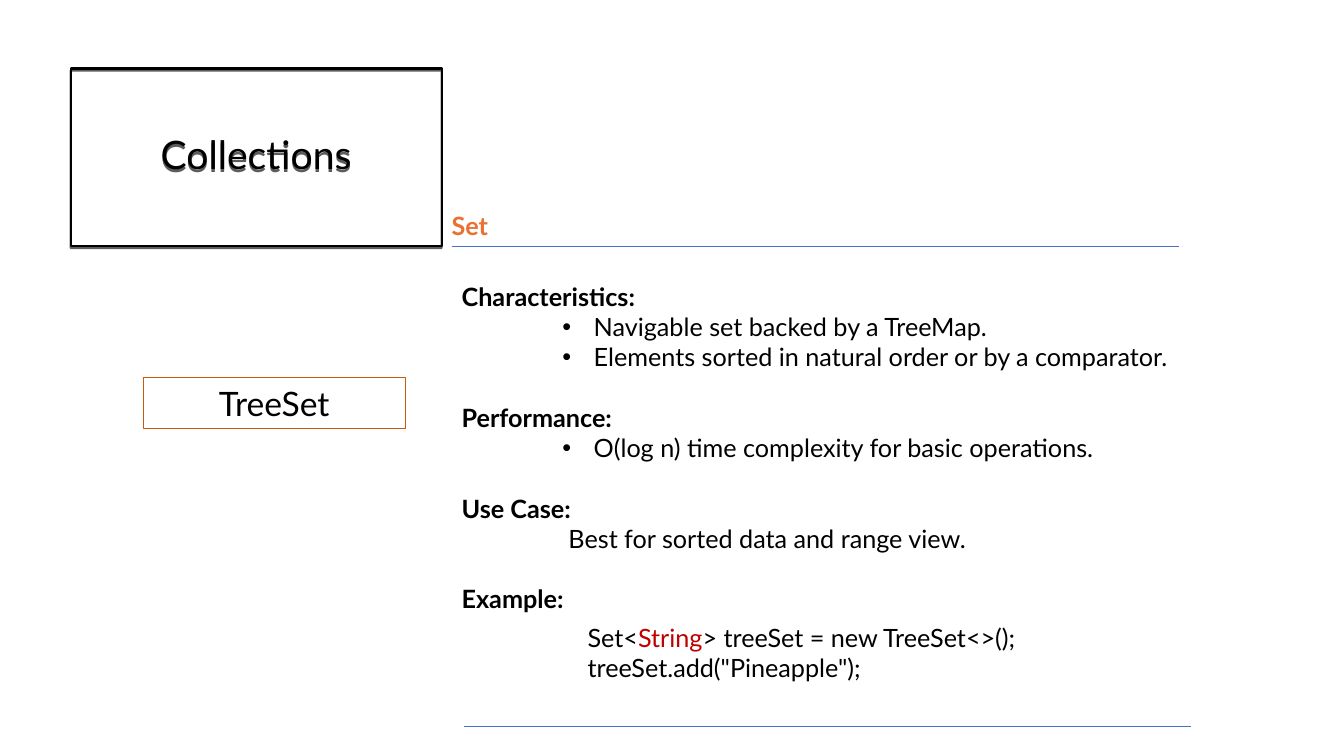
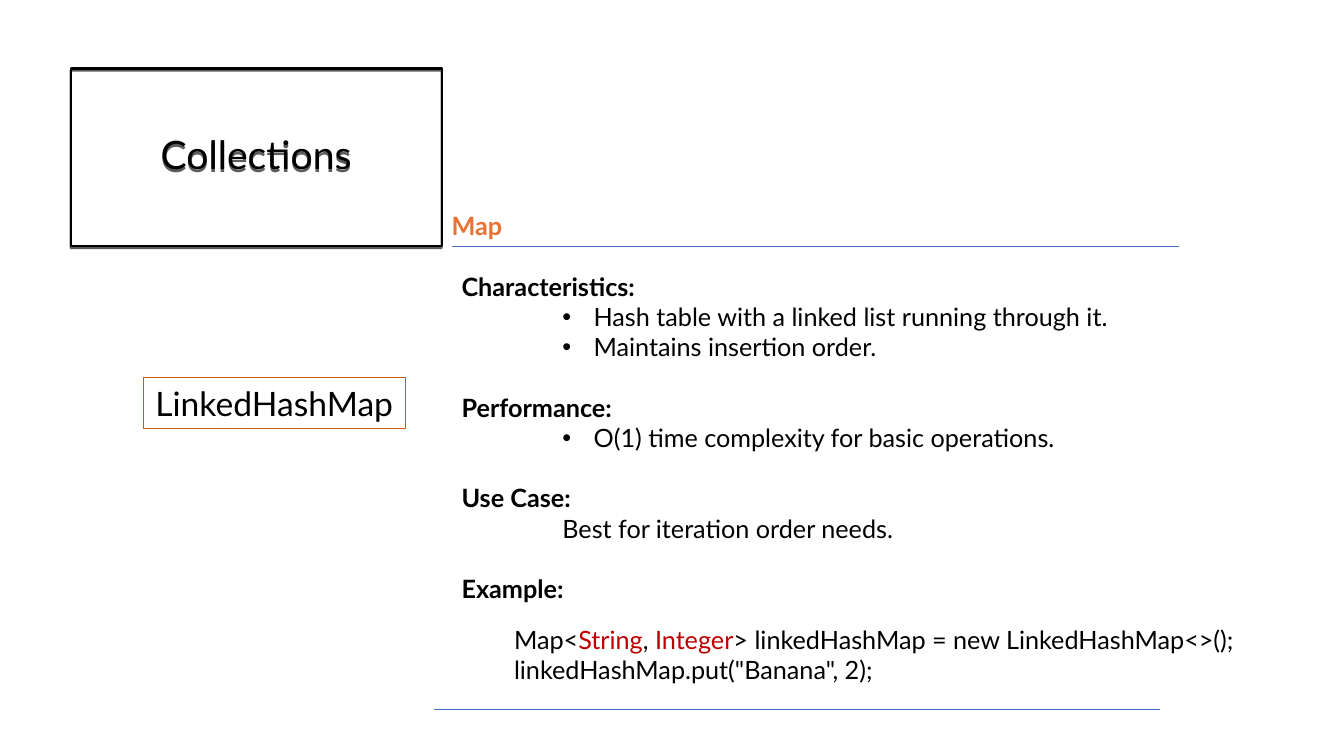
import pptx
import pptx.util
import pptx.dml.color
import pptx.enum.shapes
import pptx.enum.text
import pptx.oxml
import lxml.etree

Inches = pptx.util.Inches
Pt = pptx.util.Pt
Color = pptx.dml.color.RGBColor
BLACK = Color(0x00, 0x00, 0x00)
BLUE = Color(0x44, 0x72, 0xC4)
ORANGE = Color(0xE9, 0x71, 0x32)
RUST = Color(0xC5, 0x5A, 0x11)
RED = Color(0xC0, 0x00, 0x00)
FONT = "Lato"
NS = "http://schemas.openxmlformats.org/drawingml/2006/main"
RECT = pptx.enum.shapes.MSO_SHAPE.RECTANGLE
STRAIGHT = pptx.enum.shapes.MSO_CONNECTOR.STRAIGHT
CENTER = pptx.enum.text.PP_ALIGN.CENTER
MIDDLE = pptx.enum.text.MSO_ANCHOR.MIDDLE
TOP = pptx.enum.text.MSO_ANCHOR.TOP
SHADOW = (
    f'<a:effectLst xmlns:a="{NS}"><a:outerShdw dist="19050" dir="5400000" '
    'algn="ctr" rotWithShape="0"><a:srgbClr val="000000">'
    '<a:alpha val="63000"/></a:srgbClr></a:outerShdw></a:effectLst>'
)

TOPICS = [
    {
        "group": "Set", "name": "TreeSet",
        "traits": ["Navigable set backed by a TreeMap.",
                   "Elements sorted in natural order or by a comparator."],
        "speed": "O(log n) time complexity for basic operations.",
        "use": "Best for sorted data and range view.", "indent": 1.06,
        "body": (4.48, 2.74, 7.82, 3.43),
        "code": [[("Set<", BLACK), ("String", RED),
                  ("> treeSet = new TreeSet<>();", BLACK)],
                 [('treeSet.add("Pineapple");', BLACK)]],
        "place": (5.73, 6.12, 6.67, 0.71),
        "rule": (4.6, 7.21),
    },
    {
        "group": "Map", "name": "LinkedHashMap",
        "traits": ["Hash table with a linked list running through it.",
                   "Maintains insertion order."],
        "speed": "O(1) time complexity for basic operations.",
        "use": "Best for iteration order needs.", "indent": 1,
        "body": (4.48, 2.64, 6.67, 3.74),
        "code": [[("Map<", BLACK), ("String", RED), (", ", BLACK),
                  ("Integer", RED),
                  ("> linkedHashMap = new LinkedHashMap<>();", BLACK)],
                 [('linkedHashMap.put("Banana", 2);', BLACK)]],
        "place": (5, 6.14, 7.53, 0.71),
        "rule": (4.3, 7.04),
    },
]


def style(para, size=18, color=BLACK, bold=False):
    for run in para.runs:
        run.font.name = FONT
        run.font.size = Pt(size)
        run.font.bold = bold
        run.font.color.rgb = color


def add_box(slide, place):
    box = slide.shapes.add_textbox(*[Inches(side) for side in place])
    box.text_frame.word_wrap = True
    return box.text_frame


deck = pptx.Presentation()
deck.slide_width = Inches(13.33)
deck.slide_height = Inches(7.5)

for topic in TOPICS:
    slide = deck.slides.add_slide(deck.slide_layouts[5])

    # Framed title with a hard shadow
    title = slide.shapes.title
    title.left, title.top = Inches(0.7), Inches(0.68)
    title.width, title.height = Inches(3.68), Inches(1.76)
    title.line.color.rgb = BLACK
    title.line.width = Pt(1.5)
    title._element.spPr.append(pptx.oxml.parse_xml(SHADOW))
    title.text_frame.text = "Collections"
    title.text_frame.vertical_anchor = MIDDLE
    para = title.text_frame.paragraphs[0]
    para.alignment = CENTER
    para.line_spacing = 0.9
    style(para, 28)

    # Rules under the group name and at the foot
    for left, top in [(4.48, 2.44), topic["rule"]]:
        rule = slide.shapes.add_connector(
            STRAIGHT, Inches(left), Inches(top), Inches(left + 7.21), Inches(top))
        rule.line.color.rgb = BLUE
        rule.line.width = Pt(0.5)
        lxml.etree.SubElement(rule._element.spPr, f"{{{NS}}}effectLst")

    # Group name
    frame = add_box(slide, (4.38, 2.04, 2.51, 0.4))
    frame.text = topic["group"]
    style(frame.paragraphs[0], color=ORANGE, bold=True)

    # Class name
    label = slide.shapes.add_shape(
        RECT, Inches(1.42), Inches(3.75), Inches(2.6), Inches(0.5))
    label.shadow.inherit = False
    label.fill.background()
    label.line.color.rgb = RUST
    label.line.width = Pt(0.75)
    label.text_frame.text = topic["name"]
    label.text_frame.word_wrap = False
    label.text_frame.vertical_anchor = TOP
    label.text_frame.paragraphs[0].alignment = CENTER
    style(label.text_frame.paragraphs[0], 24)

    # Headed sections: heading, lines, left indent, bulleted or not
    parts = [
        ("Characteristics:", topic["traits"], 1.31, True),
        ("Performance:", [topic["speed"]], 1.31, True),
        ("Use Case:", [topic["use"]], topic["indent"], False),
        ("Example:", [], 0, False),
    ]
    frame = add_box(slide, topic["body"])
    for num, (head, lines, indent, dots) in enumerate(parts):
        para = frame.add_paragraph() if num else frame.paragraphs[0]
        para.text = head
        if num:
            para.space_before = Pt(21.6)
        style(para, bold=True)
        for line in lines:
            para = frame.add_paragraph()
            para.text = line
            props = para._p.get_or_add_pPr()
            props.set("marL", str(Inches(indent)))
            if dots:
                props.set("indent", str(Inches(-0.31)))
                face = lxml.etree.SubElement(props, f"{{{NS}}}buFont")
                face.set("typeface", "Arial")
                dot = lxml.etree.SubElement(props, f"{{{NS}}}buChar")
                dot.set("char", "•")
            style(para)

    # Code sample
    frame = add_box(slide, topic["place"])
    for num, line in enumerate(topic["code"]):
        para = frame.add_paragraph() if num else frame.paragraphs[0]
        for text, color in line:
            para.add_run().text = text
        style(para)
        for run, (text, color) in zip(para.runs, line):
            run.font.color.rgb = color

deck.save("out.pptx")
